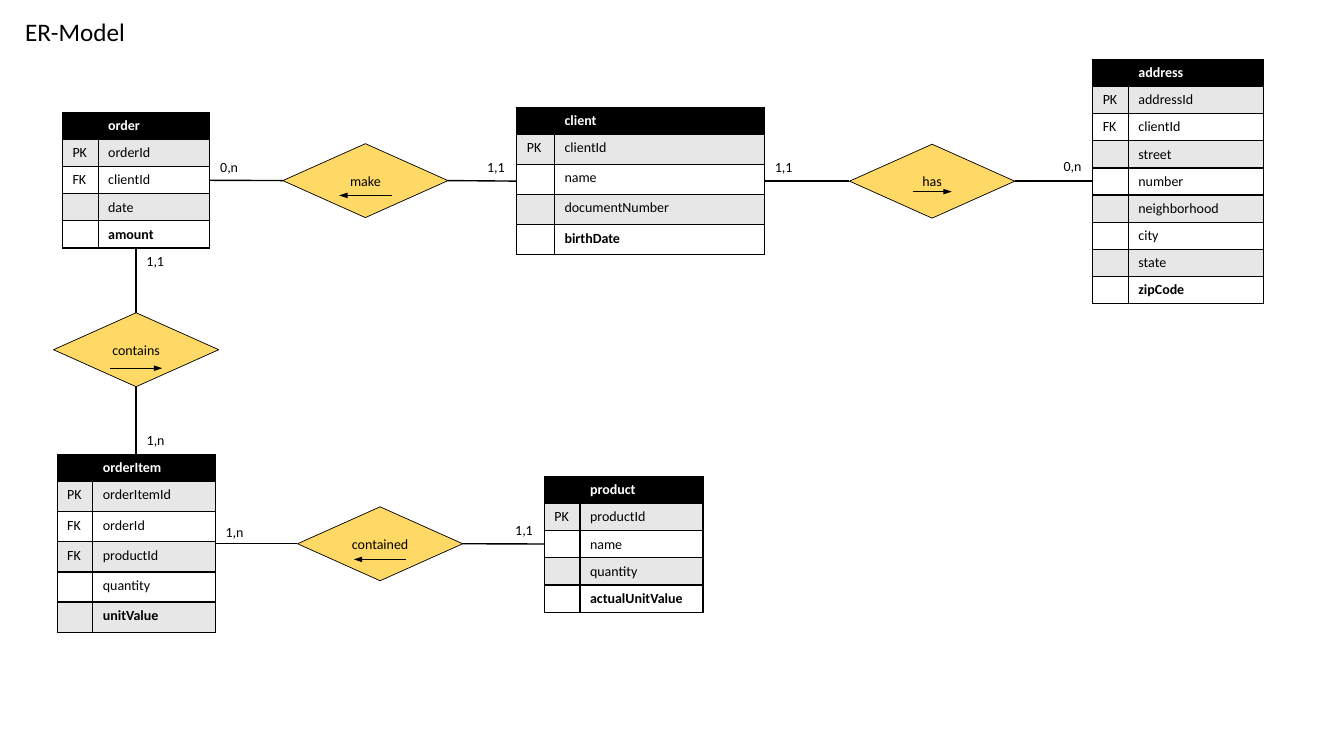
"""Build the ER-Model slide: entities, relationships and cardinalities."""
from lxml import etree
from pptx import Presentation
from pptx.dml.color import RGBColor
from pptx.enum.shapes import MSO_CONNECTOR, MSO_SHAPE
from pptx.enum.text import MSO_ANCHOR, MSO_AUTO_SIZE, PP_ALIGN
from pptx.oxml.ns import qn
from pptx.util import Pt

STRAIGHT = MSO_CONNECTOR.STRAIGHT
DIAMOND = MSO_SHAPE.DIAMOND
MIDDLE = MSO_ANCHOR.MIDDLE
FIT_SHAPE = MSO_AUTO_SIZE.SHAPE_TO_FIT_TEXT
CENTER = PP_ALIGN.CENTER

BLACK = RGBColor(0x00, 0x00, 0x00)
WHITE = RGBColor(0xFF, 0xFF, 0xFF)
GREY = RGBColor(0xE7, 0xE7, 0xE7)
YELLOW = RGBColor(0xFF, 0xD9, 0x66)

FONT = "Calibri"
TEXT_SIZE = 10
HEADER_HEIGHT = 19.3
TALL_ROW = 21.5
DIAMOND_WIDTH = 118
DIAMOND_HEIGHT = 52.8

ENTITIES = [
    ("product", 388.8, 340.4, (25.5, 87.9), HEADER_HEIGHT,
     ["PK productId", " name", " quantity", " actualUnitValue"]),
    ("order", 44.6, 80.3, (25.5, 79.5), HEADER_HEIGHT,
     ["PK orderId", "FK clientId", " date", " amount"]),
    ("client", 369.2, 76.7, (26.9, 150.1), TALL_ROW,
     ["PK clientId", " name", " documentNumber", " birthDate"]),
    ("address", 780.5, 42.5, (25.5, 96.3), HEADER_HEIGHT,
     ["PK addressId", "FK clientId", " street", " number", " neighborhood",
      " city", " state", " zipCode"]),
    ("orderItem", 40.8, 324.7, (25.5, 87.6), TALL_ROW,
     ["PK orderItemId", "FK orderId", "FK productId", " quantity", " unitValue"]),
]

RELATIONSHIPS = [
    ("make", 261, 129, -37.4, 10.6),
    ("has", 665.8, 129.4, 28, 7.5),
    ("contains", 97.2, 249.8, 37.4, 13.2),
    ("contained", 271.5, 388.4, -37.4, 11.2),
]

LINKS = [
    ((149.8, 128.8), (202, 129)),
    ((320, 129), (369.2, 129.4)),
    ((546.4, 129.4), (606.8, 129.4)),
    ((724.8, 129.4), (780.5, 129.4)),
    ((97.2, 223.4), (97.2, 177)),
    ((97.2, 324.7), (97.2, 276.2)),
    ((154.1, 388.4), (212.4, 388.4)),
    ((330.5, 388.4), (388.8, 388.6)),
]

CARDINALITIES = [
    ("0,n", 150.2, 109.6), ("1,1", 340.9, 109.6),
    ("1,1", 546.4, 109.6), ("0,n", 752.6, 109),
    ("1,1", 97.5, 176.6), ("1,n", 97.7, 304.4),
    ("1,n", 154, 370.7), ("1,1", 360.9, 369.3),
]


def style_text(para, color=BLACK, size=TEXT_SIZE, bold=False):
    """Format every run of a paragraph, and its end mark when it is empty."""
    for span in para.runs:
        span.font.name = FONT
        span.font.size = Pt(size)
        span.font.bold = bold
        span.font.color.rgb = color
    if not para.runs:
        etree.SubElement(para._p, qn("a:endParaRPr"), sz=str(size * 100))


def add_borders(cell):
    """Give a table cell a thin black border on all four sides."""
    properties = cell._tc.get_or_add_tcPr()
    for side in ("lnL", "lnR", "lnT", "lnB"):
        border = etree.SubElement(properties, qn(f"a:{side}"), w=str(Pt(1)))
        fill = etree.SubElement(border, qn("a:solidFill"))
        etree.SubElement(fill, qn("a:srgbClr"), val=str(BLACK))


def fill_cell(cell, text, fill, color, bold):
    """Write one table cell with its border and background."""
    add_borders(cell)
    cell.fill.solid()
    cell.fill.fore_color.rgb = fill
    cell.text_frame.text = text
    style_text(cell.text_frame.paragraphs[0], color, bold=bold)


def add_entity(page, name, left, top, widths, row_height, attributes):
    """Add an entity table with a black header and banded attribute rows."""
    heights = [HEADER_HEIGHT] + [row_height] * len(attributes)
    table = page.shapes.add_table(len(heights), 2, Pt(left), Pt(top),
                                  Pt(sum(widths)), Pt(sum(heights))).table
    for column, width in zip(table.columns, widths):
        column.width = Pt(width)
    for row, height in zip(table.rows, heights):
        row.height = Pt(height)
    for index, entry in enumerate([f" {name}"] + attributes):
        header = index == 0
        fill = BLACK if header else GREY if index % 2 else WHITE
        color = WHITE if header else BLACK
        bold = header or index == len(attributes)
        for column, text in enumerate(entry.split(" ")):
            fill_cell(table.cell(index, column), text, fill, color, bold)


def add_line(page, start, end, width=1):
    """Add a plain black line between two points."""
    line = page.shapes.add_connector(STRAIGHT, Pt(start[0]), Pt(start[1]),
                                     Pt(end[0]), Pt(end[1]))
    line.line.color.rgb = BLACK
    line.line.width = Pt(width)
    etree.SubElement(line._element.spPr, qn("a:effectLst"))
    return line


def add_arrow(page, start, end):
    """Add a reading-direction arrow that points at its end."""
    arrow = add_line(page, start, end, 0.75)
    etree.SubElement(arrow.line._get_or_add_ln(), qn("a:tailEnd"),
                     type="triangle", w="sm", len="med")


def add_relationship(page, name, center, middle, reach, drop):
    """Add a relationship diamond with a direction arrow under its name."""
    box = page.shapes.add_shape(DIAMOND, Pt(center - DIAMOND_WIDTH / 2),
                                Pt(middle - DIAMOND_HEIGHT / 2),
                                Pt(DIAMOND_WIDTH), Pt(DIAMOND_HEIGHT))
    box.shadow.inherit = False
    box.fill.solid()
    box.fill.fore_color.rgb = YELLOW
    box.line.color.rgb = BLACK
    box.line.width = Pt(0.5)
    frame = box.text_frame
    frame.word_wrap = False
    frame.vertical_anchor = MIDDLE
    frame.text = name
    frame.paragraphs[0].alignment = CENTER
    style_text(frame.paragraphs[0])
    add_arrow(page, (center - reach / 2, middle + drop),
              (center + reach / 2, middle + drop))


def add_label(page, text, left, top, width=27.4, height=19.4, size=TEXT_SIZE):
    """Add a single-line text box that fits its text."""
    box = page.shapes.add_textbox(Pt(left), Pt(top), Pt(width), Pt(height))
    frame = box.text_frame
    frame.word_wrap = False
    frame.auto_size = FIT_SHAPE
    frame.text = text
    style_text(frame.paragraphs[0], size=size)


def main():
    """Build and save the deck."""
    deck = Presentation()
    deck.slide_width, deck.slide_height = Pt(960), Pt(540)
    page = deck.slides.add_slide(deck.slide_layouts[6])
    for entity in ENTITIES:
        add_entity(page, *entity)
    for start, end in LINKS:
        add_line(page, start, end)
    for relationship in RELATIONSHIPS:
        add_relationship(page, *relationship)
    for cardinality in CARDINALITIES:
        add_label(page, *cardinality)
    add_label(page, "ER-Model", 10.8, 8, 86.4, 29, 18)
    deck.save("out.pptx")


main()
